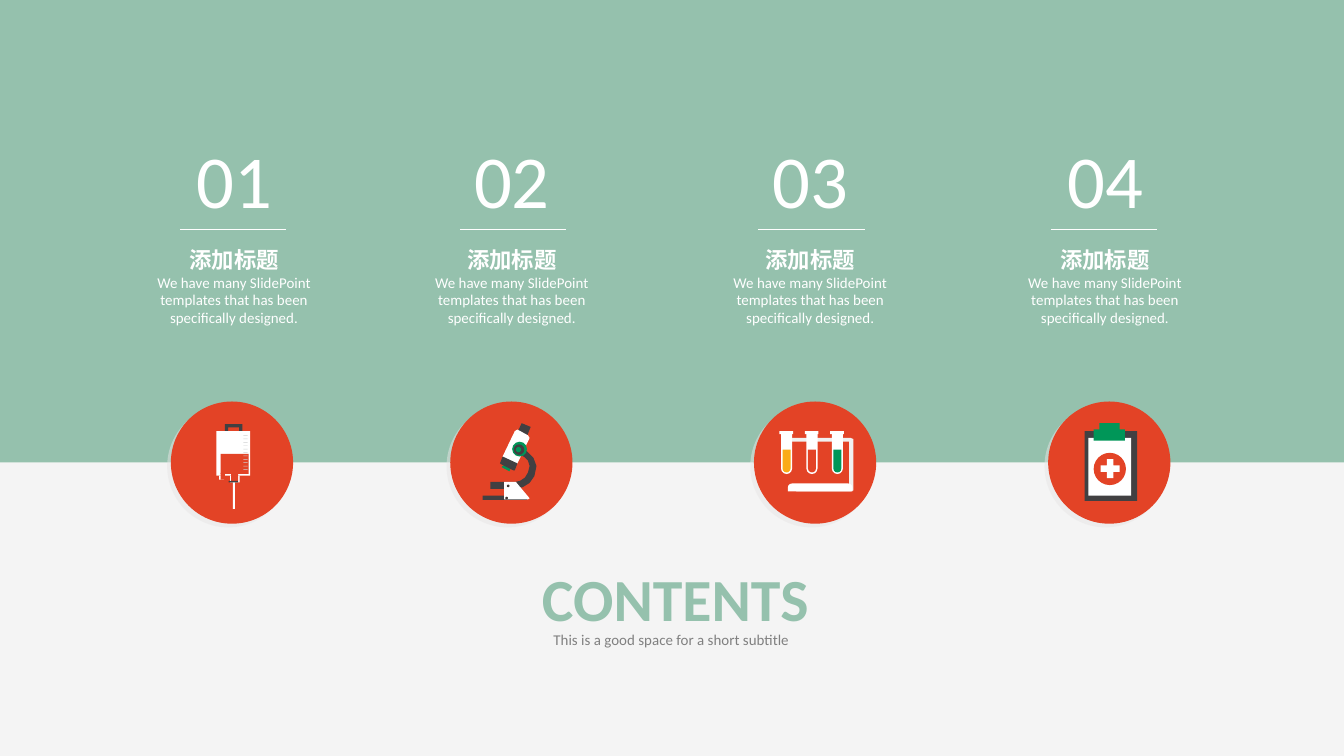
import enum

import lxml.etree
import pptx
import pptx.dml.color
import pptx.enum.shapes
import pptx.enum.text
import pptx.oxml
import pptx.oxml.ns
import pptx.util

Cm, Pt = pptx.util.Cm, pptx.util.Pt
RGB = pptx.dml.color.RGBColor.from_string
qn = pptx.oxml.ns.qn
MSO = pptx.enum.shapes.MSO_SHAPE
CENTER = pptx.enum.text.PP_ALIGN.CENTER


class Theme:
    GREEN, RED, PAPER = "95C1AD", "E34326", "F4F4F4"
    WHITE, DARK, LEAF = "FFFFFF", "414042", "009658"
    AMBER, FRAME, TICK, SCREW = "FAAB18", "F1F0EF", "CED0D1", "403833"
    GREY, SHADOW = "808080", "E7E6E6"
    FONT = "Calibri"
    TITLE, SUBTITLE, NUMBER, HEADING, BODY = 32, 8, 40, 12, 8


def shape(g, kind, x, y, w, h, color):
    """Add a plain filled preset shape; lengths in cm."""
    sp = g.shapes.add_shape(kind, Cm(x), Cm(y), Cm(w), Cm(h))
    sp.shadow.inherit = False
    sp.fill.solid()
    sp.fill.fore_color.rgb = RGB(color)
    sp.line.fill.background()
    return sp


def outline(g, x, y, points, color):
    """Add a closed filled outline; points in cm from (x, y)."""
    pts = [(Cm(x + px), Cm(y + py)) for px, py in points]
    fb = g.shapes.build_freeform(*pts[0])
    fb.add_line_segments(pts[1:], close=True)
    sp = fb.convert_to_shape()
    sp.shadow.inherit = False
    sp.fill.solid()
    sp.fill.fore_color.rgb = RGB(color)
    sp.line.fill.background()


prs = pptx.Presentation()
prs.slide_width, prs.slide_height = Cm(25.4), Cm(14.29)
s = prs.slides.add_slide(prs.slide_layouts[6])
s.background.fill.solid()
s.background.fill.fore_color.rgb = RGB(Theme.PAPER)

# Green band
shape(s, MSO.RECTANGLE, 0, 0, 25.4, 8.74, Theme.GREEN)

# Title and subtitle
for text, x, y, w, h, size, color, bold in [
    ("CONTENTS", 9.96, 10.49, 5.61, 1.63, Theme.TITLE, Theme.GREEN, True),
    ("This is a good space for a short subtitle", 10.19, 11.79, 5, 0.61,
     Theme.SUBTITLE, Theme.GREY, False),
]:
    tf = s.shapes.add_textbox(Cm(x), Cm(y), Cm(w), Cm(h)).text_frame
    tf.word_wrap = False
    p = tf.paragraphs[0]
    p.text, p.alignment = text, CENTER
    p.font.name, p.font.size, p.font.bold = Theme.FONT, Pt(size), bold
    p.font.color.rgb = RGB(color)

# Four columns: text, rule and red disc
groups = []
for i, (text_x, rule_x, disc_x) in enumerate([
    (2.62, 3.4, 3.23), (7.87, 8.69, 8.51), (13.51, 14.33, 14.25), (19.08, 19.86, 19.81),
], 1):
    tf = s.shapes.add_textbox(Cm(text_x), Cm(2.54), Cm(3.61), Cm(3.63)).text_frame
    tf.word_wrap = True
    tf.margin_left = tf.margin_right = tf.margin_top = tf.margin_bottom = 0
    for j, (text, size, bold, before) in enumerate([
        (f"{i:02}", Theme.NUMBER, False, 0),
        ("添加标题", Theme.HEADING, True, 12),
        ("We have many SlidePoint templates that has been specifically designed.",
         Theme.BODY, False, 0),
    ]):
        p = tf.add_paragraph() if j else tf.paragraphs[0]
        p.text, p.alignment, p.space_before = text, CENTER, Pt(before)
        p.font.name, p.font.size, p.font.bold = Theme.FONT, Pt(size), bold
        p.font.color.rgb = RGB(Theme.WHITE)

    rule = s.shapes.add_connector(pptx.enum.shapes.MSO_CONNECTOR.STRAIGHT,
                                  Cm(rule_x), Cm(4.34), Cm(rule_x + 2.01), Cm(4.34))
    rule.line.color.rgb, rule.line.width = RGB(Theme.WHITE), Pt(0.5)
    lxml.etree.SubElement(rule._element.spPr, qn("a:effectLst"))

    g = s.shapes.add_group_shape()
    disc = shape(g, MSO.OVAL, disc_x, 7.59, 2.31, 2.31, Theme.RED)
    effects = disc._element.spPr.find(qn("a:effectLst"))
    shadow = lxml.etree.SubElement(effects, qn("a:outerShdw"), blurRad="0",
                                   dist=str(Pt(2.8)), dir="8100000", algn="tr", rotWithShape="0")
    clr = lxml.etree.SubElement(shadow, qn("a:srgbClr"), val=Theme.SHADOW)
    lxml.etree.SubElement(clr, qn("a:alpha"), val="50000")
    groups.append((g, disc_x, 7.59))

# Drip bag
g, x, y = groups[0]
outline(g, x, y, [(1.02, 0.66), (1.02, 0.43), (1.35, 0.43), (1.35, 0.66),
                  (1.29, 0.66), (1.29, 0.49), (1.08, 0.49), (1.08, 0.66)], Theme.DARK)
for dx, dy, w, h, color in [
    (0.86, 0.56, 0.64, 0.84, Theme.WHITE), (0.94, 0.99, 0.53, 0.38, Theme.RED),
    (0.91, 1.4, 0.1, 0.08, Theme.WHITE), (1.12, 1.4, 0.18, 0.13, Theme.WHITE),
    (1.14, 1.32, 0.13, 0.18, Theme.RED), (0.94, 1.35, 0.08, 0.13, Theme.RED),
    (1.17, 1.52, 0.04, 0.51, Theme.WHITE), (1.09, 1.5, 0.18, 0.03, Theme.DARK),
]:
    shape(g, MSO.RECTANGLE, x + dx, y + dy, w, h, color)
for k in range(11):
    shape(g, MSO.RECTANGLE, x + 1.37, y + 0.64 + k * 0.64 / 10, 0.08, 0.01, Theme.TICK)

# Microscope
g, x, y = groups[1]
lens = [(1.12, 1.32), (0.97, 1.24), (0.99, 1.22), (1.04, 1.19), (1.14, 1.24), (1.14, 1.27)]
eyepiece = [(1.42, 0.69), (1.27, 0.61), (1.27, 0.58), (1.35, 0.41), (1.52, 0.48), (1.45, 0.66)]
barrel = [(1.27, 1.17), (1.24, 1.19), (1.02, 1.09), (0.99, 1.04),
          (1.22, 0.56), (1.27, 0.53), (1.47, 0.64), (1.5, 0.69)]
objective = [(1.22, 1.3), (1.19, 1.3), (0.97, 1.19), (0.94, 1.17), (0.99, 1.04), (1.27, 1.17)]
arm = [(1.63, 1.22), (1.57, 1.06), (1.46, 0.95), (1.35, 0.88), (1.3, 0.86), (1.27, 0.86),
       (1.24, 0.89), (1.24, 0.97), (1.27, 0.99), (1.3, 0.99), (1.4, 1.05), (1.47, 1.12),
       (1.5, 1.22), (1.47, 1.34), (1.41, 1.44), (1.32, 1.5), (1.22, 1.52), (0.76, 1.52),
       (0.76, 1.65), (1.22, 1.65), (1.37, 1.62), (1.5, 1.54), (1.59, 1.41)]
foot = [(1.47, 1.85), (1.02, 1.85), (1.02, 1.52), (1.24, 1.52), (1.5, 1.83)]
for points, color in [(lens, Theme.LEAF), (eyepiece, Theme.DARK), (barrel, Theme.WHITE),
                      (objective, Theme.DARK), (arm, Theme.DARK)]:
    outline(g, x, y, points, color)
shape(g, MSO.RECTANGLE, x + 0.61, y + 1.78, 0.84, 0.08, Theme.DARK)
outline(g, x, y, foot, Theme.WHITE)
for dx, dy, d, color in [
    (1.17, 0.76, 0.28, Theme.LEAF), (1.2, 0.81, 0.2, Theme.DARK), (1.24, 0.86, 0.1, Theme.LEAF),
    (1.07, 1.57, 0.05, Theme.SCREW), (1.04, 1.8, 0.05, Theme.SCREW),
]:
    shape(g, MSO.OVAL, x + dx, y + dy, d, d, color)

# Test tube rack
g, x, y = groups[2]
outline(g, x, y, [(1.83, 1.7), (0.81, 1.7), (0.76, 1.68), (0.81, 1.65), (1.8, 1.65), (1.8, 0.76),
                  (0.56, 0.76), (0.53, 0.71), (0.56, 0.69), (1.83, 0.69), (1.88, 0.71),
                  (1.88, 1.68)], Theme.FRAME)
for k, liquid in enumerate([Theme.AMBER, Theme.RED, Theme.LEAF]):
    left = x + 0.48 + k * 0.48
    for dx, dy, w, h, color in [(0.03, 0.56, 0.21, 0.81, Theme.WHITE),
                                (0.06, 0.91, 0.15, 0.43, liquid)]:
        sp = shape(g, MSO.ROUND_2_SAME_RECTANGLE, left + dx, y + dy, w, h, color)
        sp.adjustments[0], sp.rotation = 0.5, 180
    shape(g, MSO.RECTANGLE, left, y + 0.56, 0.26, 0.06, Theme.WHITE)
base = shape(g, MSO.ROUND_2_SAME_RECTANGLE, x + 0.64, y + 1.55, 1.22, 0.15, Theme.WHITE)
base.adjustments[0] = 0.5

# Clipboard
g, x, y = groups[3]
shape(g, MSO.RECTANGLE, x + 0.69, y + 0.56, 0.99, 1.32, Theme.DARK)
shape(g, MSO.RECTANGLE, x + 0.76, y + 0.69, 0.81, 1.09, Theme.WHITE)
outline(g, x, y, [(1.35, 0.53), (1.35, 0.41), (0.97, 0.41), (0.97, 0.53),
                  (0.86, 0.53), (0.86, 0.74), (1.45, 0.74), (1.45, 0.53)], Theme.LEAF)
shape(g, MSO.OVAL, x + 0.86, y + 0.97, 0.61, 0.61, Theme.RED)
cross = shape(g, MSO.CROSS, x + 0.99, y + 1.09, 0.36, 0.36, Theme.WHITE)
cross.adjustments[0] = 0.33

prs.save("out.pptx")
